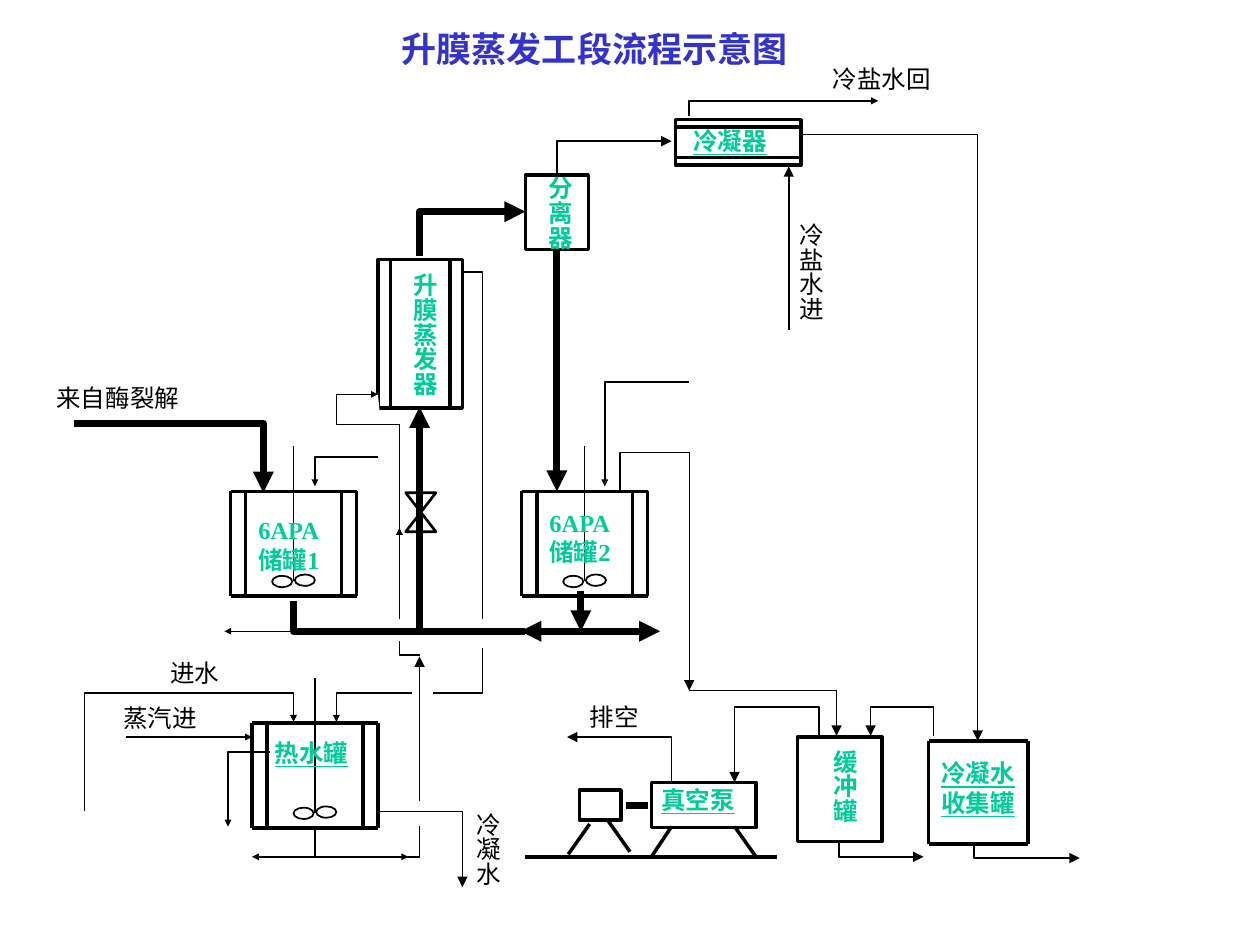
"""Flow diagram of the rising-film evaporation section."""
import pptx
import pptx.dml.color
import pptx.enum.shapes
import pptx.enum.text
import pptx.oxml.ns
import pptx.util
from lxml import etree

Inches = pptx.util.Inches
SHAPE = pptx.enum.shapes.MSO_SHAPE
COLORS = {"title": "3333CC", "equipment": "00CC99", "ink": "000000", "paper": "FFFFFF"}


class FlowSheet:
    """Holds the style and the slide, and draws each kind of element."""

    font = "Times New Roman"

    def __init__(self, slide):
        self.slide = slide
        self.target = slide.shapes

    def begin_group(self):
        self.target = self.slide.shapes.add_group_shape().shapes

    def end_group(self):
        self.target = self.slide.shapes

    def color(self, name):
        return pptx.dml.color.RGBColor.from_string(COLORS[name])

    def outline(self, item, weight):
        item.line.color.rgb = self.color("ink")
        item.line.width = pptx.util.Pt(weight)

    def text(self, content, left, top, width, height, color="ink", size=14, bold=False,
             underline=False, vertical=False, inset=0.01, indent=0.01, align="JUSTIFY"):
        box = self.target.add_textbox(*map(Inches, (left, top, width, height)))
        frame = box.text_frame
        frame.text = content
        frame.word_wrap = True
        frame.margin_left = Inches(indent)
        frame.margin_right = Inches(min(inset * 2, 0.1) if inset > 0.01 else inset)
        frame.margin_top = frame.margin_bottom = Inches(inset)
        if vertical:
            frame._txBody.bodyPr.set("vert", "eaVert")
        for paragraph in frame.paragraphs:
            paragraph.alignment = getattr(pptx.enum.text.PP_ALIGN, align)
            for run in paragraph.runs:
                run.font.name = self.font
                run.font.size = pptx.util.Pt(size)
                run.font.bold = bold
                run.font.underline = underline
                run.font.color.rgb = self.color(color)

    def equipment(self, content, left, top, width, height, **style):
        self.text(content, left, top, width, height, "equipment", bold=True, **style)

    def shape(self, kind, left, top, width, height, weight=2):
        item = self.target.add_shape(kind, *map(Inches, (left, top, width, height)))
        item.shadow.inherit = False
        item.fill.background()
        self.outline(item, weight)
        return item

    def pipe(self, points, weight=1, tail=None, head=None, fill=None):
        corners = [(Inches(x), Inches(y)) for x, y in points]
        if len(corners) == 2:
            item = self.target.add_connector(
                pptx.enum.shapes.MSO_CONNECTOR.STRAIGHT, *corners[0], *corners[1])
            etree.SubElement(item._element.spPr, pptx.oxml.ns.qn("a:effectLst"))
        else:
            builder = self.target.build_freeform(*corners[0])
            builder.add_line_segments(corners[1:], close=False)
            item = builder.convert_to_shape()
            item.shadow.inherit = False
            if fill:
                item.fill.solid()
                item.fill.fore_color.rgb = self.color(fill)
            else:
                item.fill.background()
        self.outline(item, weight)
        for tag, size in (("a:headEnd", head), ("a:tailEnd", tail)):
            if size:
                etree.SubElement(item._element.spPr.get_or_add_ln(), pptx.oxml.ns.qn(tag),
                                 type="triangle", w=size, len=size)
        return item

    def tank(self, content, left, top, label_drop, underline=False, indent=0.05):
        width, height, wall = 1, 0.83, 0.12
        right, bottom = left + width, top + height
        self.begin_group()
        for y in (top, bottom):
            self.pipe([(left, y), (right, y)], 2)
        for x in (left, left + wall, right - wall, right):
            self.pipe([(x, top), (x, bottom)], 2)
        self.pipe([(left + 0.5, top - 0.36), (left + 0.5, top + 0.71)])
        for dx, dy in ((0.33, 0.67), (0.51, 0.66)):
            self.shape(SHAPE.OVAL, left + dx, top + dy, 0.16, 0.09, 1)
        self.equipment(content, left + 0.17, top + label_drop, 0.67, 0.47,
                       underline=underline, indent=indent)
        self.end_group()


def draw_equipment(sheet):
    """Draw the condenser, evaporator, separator, receivers, pump and tanks."""
    sheet.begin_group()
    sheet.shape(SHAPE.RECTANGLE, 5.36, 0.95, 1, 0.36)
    for y in (1.01, 1.25):
        sheet.pipe([(5.36, y), (6.36, y)], 2)
    sheet.end_group()
    sheet.equipment("冷凝器", 5.42, 0.99, 0.88, 0.24, underline=True, indent=0.08)

    sheet.begin_group()
    sheet.shape(SHAPE.RECTANGLE, 3, 2.06, 0.67, 1.18)
    for x in (3.1, 3.57):
        sheet.pipe([(x, 2.06), (x, 3.25)], 2)
    sheet.end_group()
    sheet.equipment("升膜蒸发器", 3.16, 2.16, 0.34, 1.01, vertical=True)

    separator = sheet.shape(SHAPE.RECTANGLE, 4.17, 1.39, 0.5, 0.59)
    sheet.equipment("分离器", 4.23, 1.39, 0.34, 0.62, vertical=True)
    downcomer = sheet.pipe([(4.42, 1.98), (4.42, 3.9)], 4, "med")
    downcomer.begin_connect(separator, 2)

    sheet.begin_group()
    for y in (5.88, 6.7):
        sheet.pipe([(7.37, y), (8.16, y)], 2)
    for x in (7.37, 8.16):
        sheet.pipe([(x, 5.88), (x, 6.7)], 2)
    sheet.end_group()
    sheet.equipment("冷凝水\n收集罐", 7.46, 6.01, 0.67, 0.59, underline=True)

    sheet.shape(SHAPE.RECTANGLE, 6.33, 5.85, 0.67, 0.83)
    sheet.equipment("缓冲罐", 6.5, 5.94, 0.33, 0.77, vertical=True)

    sheet.begin_group()
    sheet.shape(SHAPE.RECTANGLE, 5.17, 6.21, 0.83, 0.36)
    sheet.shape(SHAPE.RECTANGLE, 4.6, 6.27, 0.33, 0.24)
    legs = [((5.33, 6.56), (5.17, 6.8)), ((5.83, 6.56), (6, 6.8)),
            ((4.68, 6.54), (4.51, 6.78)), ((4.83, 6.52), (5, 6.76))]
    floor = ((4.17, 6.8), (6.17, 6.8))
    for ends in (*legs, floor):
        sheet.pipe(ends, 2)
    sheet.pipe([(5.14, 6.39), (4.97, 6.39)], 4)
    sheet.equipment("真空泵", 5.17, 6.22, 0.83, 0.36, underline=True, indent=0.08)
    sheet.end_group()

    sheet.tank("6APA\n储罐2", 4.14, 3.9, 0.12)
    sheet.tank("热水罐", 2, 5.74, 0.11, underline=True, indent=0.01)
    sheet.tank("6APA\n储罐1", 1.83, 3.9, 0.18)


def draw_pipes(sheet):
    """Draw the product lines, the service lines and the valve."""
    product_lines = [
        ([(2.33, 4.77), (2.33, 5.01), (3.33, 5.01), (3.33, 3.23)], "med", None),
        ([(3.33, 2.03), (3.33, 1.68), (4.17, 1.68)], "med", None),
        ([(4.17, 5.01), (3.33, 5.01)], None, None),
        ([(0.59, 3.36), (2.09, 3.36), (2.09, 3.91)], "med", None),
        ([(4.61, 4.69), (4.61, 5.01)], "med", None),
        ([(4.13, 5.01), (5.24, 5.01)], "med", "med"),
    ]
    for points, tail, head in product_lines:
        sheet.pipe(points, 4, tail, head)

    hot_water_lines = [
        ([(3.33, 5.2), (3.17, 5.2), (3.17, 5.09)], None),
        ([(3.17, 4.91), (3.17, 3.37), (2.67, 3.37), (2.67, 3.13), (3, 3.13)], "sm"),
    ]
    for points, tail in hot_water_lines:
        sheet.pipe(points, tail=tail, fill="paper")

    service_lines = [
        ([(5.47, 0.92), (5.47, 0.8), (6.97, 0.8)], 1, "sm"),
        ([(6.5, 5.85), (6.5, 5.61), (5.83, 5.61), (5.83, 6.21)], 1, "med"),
        ([(5.33, 6.21), (5.33, 5.85), (4.5, 5.85)], 1, "med"),
        ([(7.41, 5.84), (7.41, 5.61), (6.91, 5.61), (6.91, 5.84)], 1, "med"),
        ([(3, 6.44), (3.67, 6.44), (3.67, 7.04)], 1, "med"),
        ([(2.5, 6.56), (2.5, 6.8), (3.33, 6.8), (3.33, 6.56)], 1, None),
        ([(3.66, 2.16), (3.83, 2.16), (3.83, 4.91)], 1, None),
        ([(3.33, 6.36), (3.33, 5.21)], 1, "med"),
        ([(7.73, 6.69), (7.73, 6.81), (8.57, 6.81)], 1, "med"),
        ([(6.66, 6.68), (6.66, 6.8), (7.33, 6.8)], 1, "med"),
        ([(3.83, 5.14), (3.83, 5.5), (3.44, 5.5)], 1, None),
        ([(4.42, 1.37), (4.42, 1.12), (5.33, 1.12)], 1, "med"),
        ([(6.26, 2.62), (6.26, 1.32)], 1, "med"),
        ([(5.47, 5.48), (6.64, 5.48), (6.64, 5.84)], 1, "med"),
        ([(5.47, 3.03), (4.8, 3.03), (4.8, 3.86)], 1, "sm"),
        ([(2.57, 6.8), (3.24, 6.8)], 0.75, "sm"),
        ([(3.17, 4.55), (3.17, 4.19)], 0.75, "sm"),
        ([(2.5, 6.8), (2, 6.8)], 1, "sm"),
        ([(3.27, 5.5), (2.67, 5.5), (2.67, 5.73)], 0.75, "sm"),
        ([(3, 3.63), (2.5, 3.63), (2.5, 3.86)], 1, "sm"),
        ([(1, 5.85), (2, 5.85)], 1, "sm"),
        ([(0.67, 6.44), (0.67, 5.5), (2.33, 5.5), (2.33, 5.73)], 1, "sm"),
        ([(2.33, 5.01), (1.78, 5.01)], 0.75, "sm"),
        ([(2.14, 5.97), (1.81, 5.97), (1.81, 6.56)], 1, "sm"),
        ([(4.92, 3.91), (4.92, 3.59), (5.47, 3.59), (5.47, 5.48)], 0.75, "med"),
        ([(6.34, 1.07), (7.76, 1.07), (7.76, 5.88)], 0.75, "med"),
    ]
    for points, weight, tail in service_lines:
        sheet.pipe(points, weight, tail)
    valve = sheet.shape(SHAPE.FLOWCHART_COLLATE, 3.22, 3.91, 0.24, 0.31, 1.5)
    valve.rotation = 180


def main():
    deck = pptx.Presentation()
    deck.slide_width, deck.slide_height = Inches(10), Inches(7.5)
    sheet = FlowSheet(deck.slides.add_slide(deck.slide_layouts[6]))
    draw_equipment(sheet)
    draw_pipes(sheet)
    sheet.text("升膜蒸发工段流程示意图", 3.09, 0.17, 3.39, 0.44, "title", 20, True,
               inset=0.05, indent=0.1, align="LEFT")
    sheet.text("来自酶裂解", 0.35, 2.99, 1.34, 0.34, inset=0.05, indent=0.1, align="LEFT")
    stream_labels = [
        ("冷盐水回", 6.6, 0.5, 1.17, 0.32, False), ("冷盐水进", 6.23, 1.76, 0.33, 0.89, True),
        ("排空", 4.67, 5.56, 0.66, 0.27, False), ("冷凝水", 3.66, 6.44, 0.34, 0.69, True),
        ("蒸汽进", 0.97, 5.57, 0.84, 0.24, False), ("进水", 1.34, 5.21, 0.67, 0.24, False),
    ]
    for content, left, top, width, height, vertical in stream_labels:
        sheet.text(content, left, top, width, height, vertical=vertical)
    deck.save("out.pptx")


if __name__ == "__main__":
    main()
